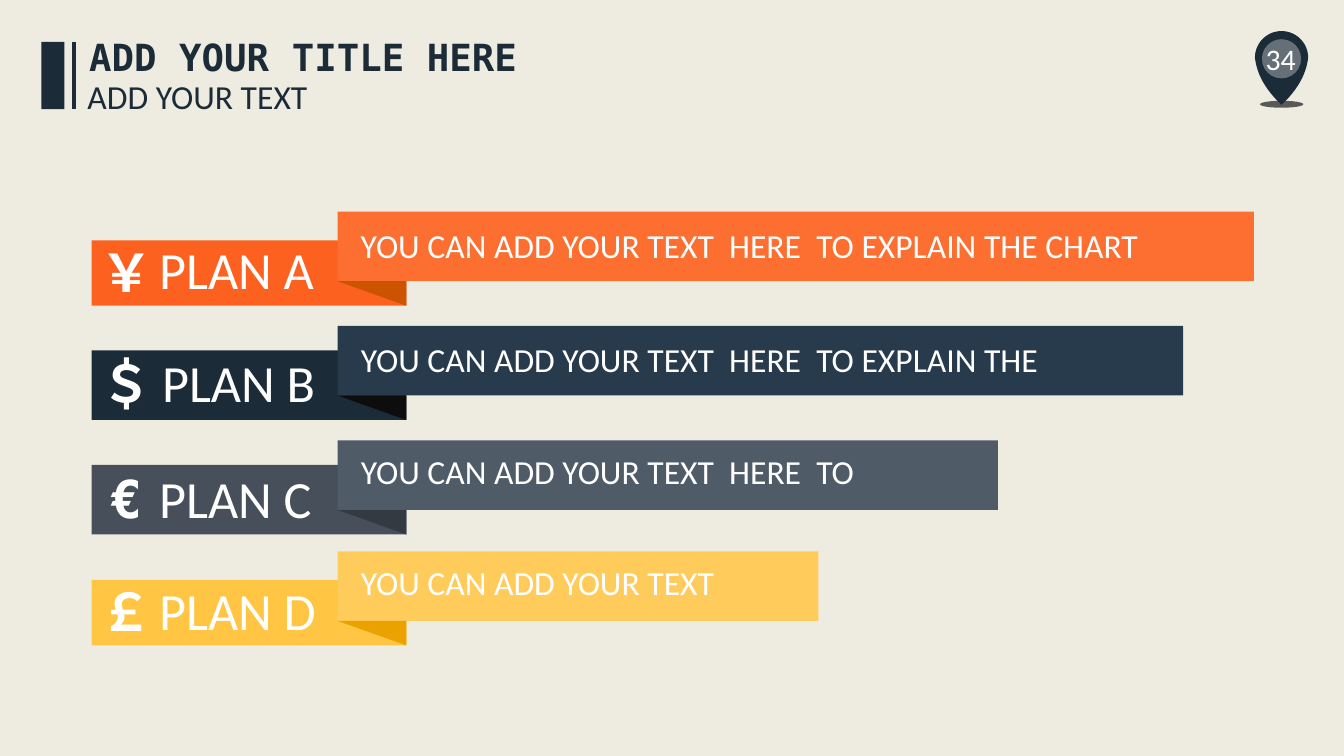
"""Build a slide of four plan ribbons with a title block and a page pin."""
import math
from dataclasses import dataclass
from lxml import etree
from pptx import Presentation
from pptx import util as u
from pptx.dml.color import RGBColor
from pptx.enum import shapes, text
from pptx.oxml import ns

CREAM = RGBColor(0xEE, 0xEC, 0xE1)
NAVY = RGBColor(0x1C, 0x2B, 0x38)
WHITE = RGBColor(0xFF, 0xFF, 0xFF)
SHADE = RGBColor(0x59, 0x59, 0x59)

SANS = "Calibri"
MONO = "DejaVu Sans Mono"
TAG_LEFT, TAG_RIGHT = 65.5, 290.2
PANEL_LEFT, PANEL_HEIGHT, FOLD_HEIGHT = 241.2, 49.7, 17.5
RECT = shapes.MSO_SHAPE.RECTANGLE
OVAL = shapes.MSO_SHAPE.OVAL


@dataclass(frozen=True)
class Plan:
    symbol: str
    name: str
    note: str
    panel_top: float
    panel_width: float
    note_width: float
    note_drop: float
    tag_height: float
    name_left: float
    name_width: float
    name_top: float
    symbol_top: float
    tag: RGBColor
    panel: RGBColor
    fold: RGBColor


PLANS = [
    Plan("￥", "PLAN A", "YOU CAN ADD YOUR TEXT  HERE  TO EXPLAIN THE CHART",
         151.2, 654.5, 645, 5.8, 46.8, 106.6, 126.7, 166.3, 167.8,
         RGBColor(0xFC, 0x61, 0x1F), RGBColor(0xFC, 0x6F, 0x30), RGBColor(0xCC, 0x53, 0x00)),
    Plan("＄", "PLAN B", "YOU CAN ADD YOUR TEXT  HERE  TO EXPLAIN THE",
         232.8, 604, 506, 5.8, 49.7, 108.7, 125.3, 247, 247.7,
         NAVY, RGBColor(0x27, 0x3B, 0x4D), RGBColor(0x0D, 0x0D, 0x0D)),
    Plan("€", "PLAN C", "YOU CAN ADD YOUR TEXT  HERE  TO",
         314.6, 471.6, 373, 4.3, 49.7, 106.6, 124.6, 329.8, 329.8,
         RGBColor(0x46, 0x4F, 0x5A), RGBColor(0x50, 0x5B, 0x68), RGBColor(0x34, 0x3A, 0x42)),
    Plan("￡", "PLAN D", "YOU CAN ADD YOUR TEXT",
         393.8, 343.4, 286.6, 4.3, 46.8, 106.6, 128.2, 409.7, 410.4,
         RGBColor(0xFF, 0xC5, 0x43), RGBColor(0xFF, 0xCC, 0x5B), RGBColor(0xEA, 0xA2, 0x00)),
]


def paint(shape, color: RGBColor) -> None:
    shape.shadow.inherit = False
    shape.fill.solid()
    shape.fill.fore_color.rgb = color
    shape.line.fill.background()


def add_block(slide, kind, left: float, top: float, width: float, height: float, color: RGBColor):
    block = slide.shapes.add_shape(kind, u.Pt(left), u.Pt(top), u.Pt(width), u.Pt(height))
    paint(block, color)
    return block


def add_outline(slide, points: list[tuple[float, float]], color: RGBColor) -> None:
    corners = [(u.Pt(x), u.Pt(y)) for x, y in points]
    builder = slide.shapes.build_freeform(*corners[0])
    builder.add_line_segments(corners[1:], close=True)
    paint(builder.convert_to_shape(), color)


def write(holder, words: str, size: float, color: RGBColor, font: str = SANS, bold: bool = False,
          align=text.PP_ALIGN.LEFT, wrap: bool = False, anchor=text.MSO_ANCHOR.TOP) -> None:
    frame = holder.text_frame
    frame.text = words
    frame.word_wrap = wrap
    frame.auto_size = text.MSO_AUTO_SIZE.SHAPE_TO_FIT_TEXT
    frame.vertical_anchor = anchor
    paragraph = frame.paragraphs[0]
    paragraph.alignment = align
    run = paragraph.runs[0]
    run.font.size, run.font.bold, run.font.name = u.Pt(size), bold, font
    run.font.color.rgb = color
    etree.SubElement(run.font._element, ns.qn("a:ea"), typeface=font)


def add_text(slide, left: float, top: float, width: float, height: float, words: str,
             size: float, color: RGBColor, **style) -> None:
    box = slide.shapes.add_textbox(u.Pt(left), u.Pt(top), u.Pt(width), u.Pt(height))
    write(box, words, size, color, **style)


def add_pin(slide) -> None:
    center_x, center_y, radius, tip_y = 915.4, 41.2, 19, 74.9
    add_block(slide, OVAL, 900, 72, 31, 5, SHADE)
    dome = [(center_x + radius * math.cos(math.radians(a)),
             center_y - radius * math.sin(math.radians(a))) for a in range(0, 181, 6)]
    flank = []
    for step in range(1, 13):
        t = step / 12
        reach = radius * (1 - t) ** 2 + 2 * t * (1 - t) * (radius - 2)
        drop = center_y * (1 - t) ** 2 + 2 * t * (1 - t) * 59 + tip_y * t ** 2
        flank.append((reach, drop))
    left_side = [(center_x - reach, drop) for reach, drop in flank]
    right_side = [(center_x + reach, drop) for reach, drop in reversed(flank[:-1])]
    add_outline(slide, dome + left_side + right_side, NAVY)
    face = add_block(slide, OVAL, 901.4, 28, 28, 28, WHITE)
    tint = face.fill._xPr.find(ns.qn("a:solidFill"))[0]
    etree.SubElement(tint, ns.qn("a:alpha"), val="32000")
    add_text(slide, 802.8, 27.4, 223.9, 28.8, "34", 21.3, WHITE, wrap=True,
             align=text.PP_ALIGN.CENTER, anchor=text.MSO_ANCHOR.MIDDLE)


def add_plan(slide, plan: Plan) -> None:
    fold_top = plan.panel_top + PANEL_HEIGHT
    fold_bottom = fold_top + FOLD_HEIGHT
    add_block(slide, RECT, TAG_LEFT, fold_bottom - plan.tag_height,
              TAG_RIGHT - TAG_LEFT, plan.tag_height, plan.tag)
    add_block(slide, RECT, PANEL_LEFT, plan.panel_top, plan.panel_width, PANEL_HEIGHT, plan.panel)
    add_outline(slide, [(TAG_RIGHT, fold_top), (PANEL_LEFT, fold_top), (TAG_RIGHT, fold_bottom)],
                plan.fold)
    add_text(slide, plan.name_left, plan.name_top, plan.name_width, 52.6, plan.name, 37.3, WHITE)
    add_text(slide, 250.6, plan.panel_top + plan.note_drop, plan.note_width, 36,
             plan.note, 24, WHITE, wrap=True)
    add_text(slide, 64, plan.symbol_top, 52.6, 52.6, plan.symbol, 37.3, WHITE,
             font=MONO, bold=True, align=text.PP_ALIGN.CENTER)


def add_heading(slide) -> None:
    add_block(slide, RECT, 29.5, 30, 16.6, 48, NAVY)
    rule = slide.shapes.add_connector(shapes.MSO_CONNECTOR.STRAIGHT,
                                      u.Pt(52.6), u.Pt(30), u.Pt(52.6), u.Pt(78))
    rule.line.color.rgb = NAVY
    rule.line.width = u.Pt(3)
    etree.SubElement(rule._element.spPr, ns.qn("a:effectLst"))
    title = slide.shapes.title
    title.left, title.top, title.width, title.height = u.Pt(56.9), u.Pt(20.9), u.Pt(319.7), u.Pt(39.6)
    title.text_frame.margin_left = title.text_frame.margin_right = u.Pt(0)
    write(title, "ADD YOUR TITLE HERE", 26.7, NAVY, font=MONO, bold=True,
          align=text.PP_ALIGN.CENTER)
    add_text(slide, 55.4, 50.4, 173.5, 36, "ADD YOUR TEXT", 24, NAVY)


def main() -> None:
    deck = Presentation()
    deck.slide_width, deck.slide_height = u.Pt(960), u.Pt(540)
    slide = deck.slides.add_slide(deck.slide_layouts[5])
    slide.background.fill.solid()
    slide.background.fill.fore_color.rgb = CREAM
    add_pin(slide)
    for plan in PLANS:
        add_plan(slide, plan)
    add_heading(slide)
    deck.save("out.pptx")


if __name__ == "__main__":
    main()
